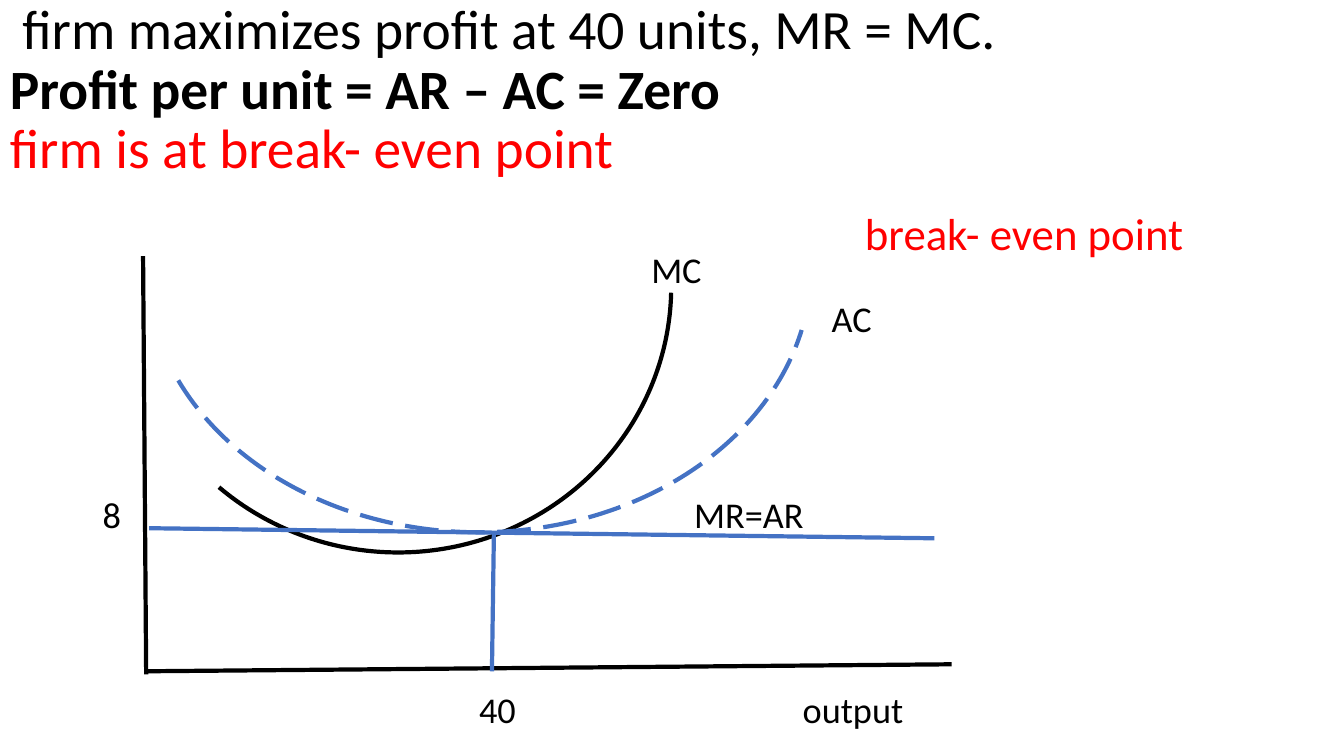
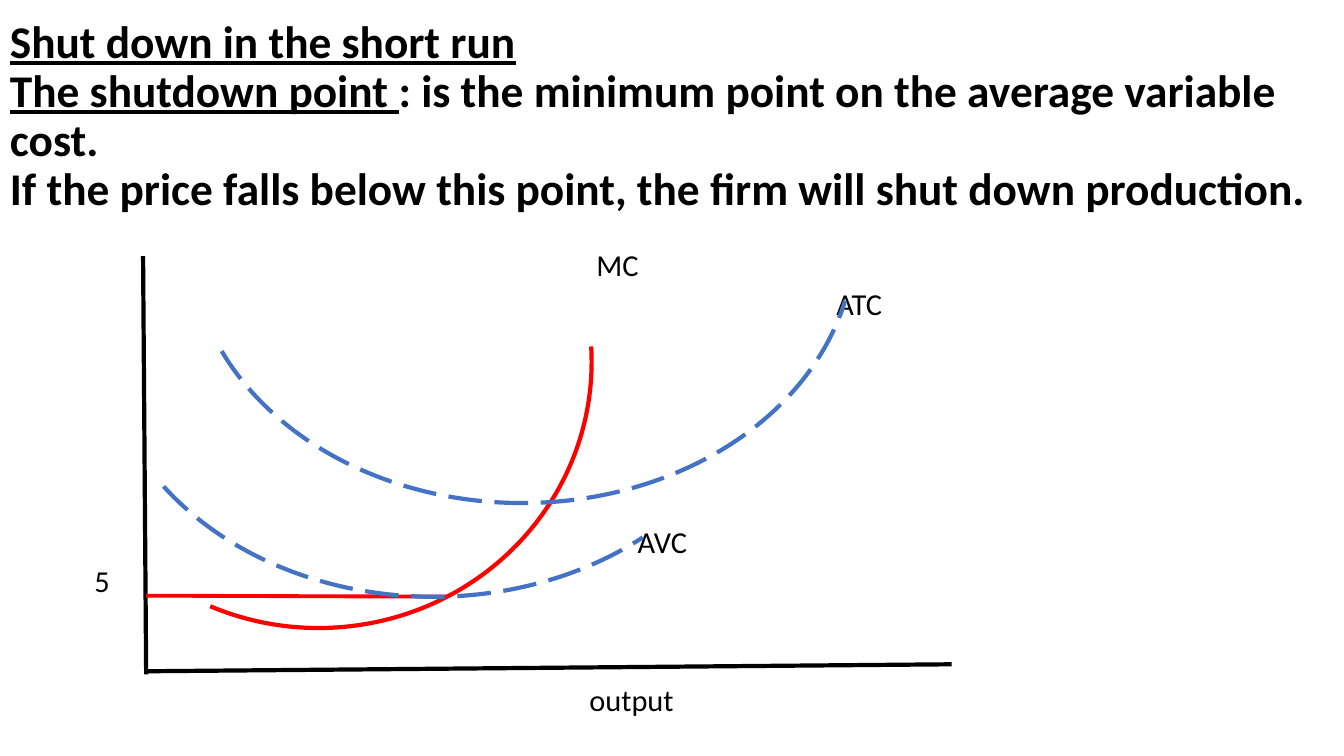
import pptx
import pptx.util
import pptx.dml.color
import pptx.enum.dml
import pptx.enum.shapes
import pptx.enum.text
import lxml.etree

Pt = pptx.util.Pt
RGBColor = pptx.dml.color.RGBColor
MIDDLE = pptx.enum.text.MSO_ANCHOR.MIDDLE
LONG_DASH = pptx.enum.dml.MSO_LINE.LONG_DASH
A_NS = "http://schemas.openxmlformats.org/drawingml/2006/main"

BLACK = RGBColor(0x00, 0x00, 0x00)
RED = RGBColor(0xFF, 0x00, 0x00)
BLUE = RGBColor(0x44, 0x72, 0xC4)
FONT = "Calibri"
SLIDE_W, SLIDE_H = 960, 540
GRAPH = (102.2, 182.9, 577.5, 298.8)
LABEL_H = 30
MC_SIZE = (390.2, 380.2)
COST_SIZE = (475.2, 380.2)


def add_run(p, text, size, color=BLACK, **formats):
    r = p.add_run()
    r.text = text
    for name, value in {"name": FONT, "size": Pt(size), **formats}.items():
        setattr(r.font, name, value)
    r.font.color.rgb = color


def add_title(s, box, size, lines):
    """Each line is a list of (text, format dict) runs."""
    tf = s.shapes.add_textbox(*map(Pt, box)).text_frame
    tf.word_wrap = True
    tf.vertical_anchor = MIDDLE
    for i, runs in enumerate(lines):
        p = tf.add_paragraph() if i else tf.paragraphs[0]
        p.line_spacing = 0.9
        for text, formats in runs:
            add_run(p, text, size, **formats)


def add_label(s, box, text, x, middle, size, color=BLACK):
    """Text starting at x and centred on the height middle, within box."""
    sp = s.shapes.add_textbox(Pt(box[0] + x), Pt(box[1] + middle - LABEL_H / 2),
                              Pt(size * 0.9 * len(text)), Pt(LABEL_H))
    tf = sp.text_frame
    tf.word_wrap = True
    tf.vertical_anchor = MIDDLE
    for side in ("left", "right", "top", "bottom"):
        setattr(tf, "margin_" + side, 0)
    add_run(tf.paragraphs[0], text, size, color)


def add_line(s, box, start, end, color=BLACK, width=3):
    x, y = box[:2]
    line = s.shapes.add_connector(
        pptx.enum.shapes.MSO_CONNECTOR.STRAIGHT,
        Pt(x + start[0]), Pt(y + start[1]), Pt(x + end[0]), Pt(y + end[1]))
    line.line.color.rgb = color
    line.line.width = Pt(width)
    lxml.etree.SubElement(line._element.spPr, "{%s}effectLst" % A_NS)


def add_curve(s, box, corner, size, angles, color, dash=None):
    """A U-shaped arc: an upside-down arc between two angles in degrees."""
    sp = s.shapes.add_shape(pptx.enum.shapes.MSO_SHAPE.ARC,
                            Pt(box[0] + corner[0]), Pt(box[1] + corner[1]),
                            *map(Pt, size))
    sp._element.spPr.xfrm.set("flipV", "1")
    for i, angle in enumerate(angles):
        sp.adjustments[i] = angle * 0.6  # 60000ths of a degree over 100000
    sp.shadow.inherit = False
    sp.fill.background()
    sp.line.color.rgb = color
    sp.line.width = Pt(3)
    sp.line.dash_style = dash


def add_graph(s, box, label_size, labels, strokes):
    """Labels, axes, then strokes: (add_line or add_curve, its values) from back to front."""
    w, h = box[2:]
    for text, x, middle in labels:
        add_label(s, box, text, x, middle, label_size)
    add_line(s, box, (0, 0), (2.2, h))
    add_line(s, box, (2.2, h - 2.2), (w, h - 7.2))
    for draw, *values in strokes:
        draw(s, box, *values)


def break_even_slide(s):
    add_title(s, (0, 10, SLIDE_W, 110), 39.6, [
        [(" firm maximizes profit at 40 units, MR = MC.", {})],
        [("Profit per unit = AR – AC = Zero", {"bold": True})],
        [("firm is at break- even point", {"color": RED})],
    ])
    add_graph(
        s, GRAPH, 25.9,
        labels=[("MC", 363, 9.6), ("AC", 491.8, 44.6), ("8", -28.8, 184.2),
                ("MR=AR", 393.6, 184.2), ("40", 240, 323.7), ("output", 471.2, 323.7)],
        strokes=[
            (add_curve, (-12.9, -168.5), MC_SIZE, (228.28, 358.65), BLACK),
            (add_curve, (2.2, -182.9), COST_SIZE, (200.81, 348.82), BLUE, LONG_DASH),
            (add_line, (565.2, 201.6), (4.4, 194.4), BLUE),
            (add_line, (250.6, 197.3), (249.2, 296.6), BLUE)])
    add_label(s, GRAPH, "break- even point", 515.6, -16.6, 32, RED)


def shutdown_slide(s):
    bold = {"bold": True}
    heading = {"bold": True, "underline": True}
    add_title(s, (0, 10, SLIDE_W, 148), 32.4, [
        [("Shut down in the short run", heading)],
        [("The shutdown point ", heading),
         (": is the minimum point on the average variable cost.", bold)],
        [("If the price falls below this point, the firm will shut down production.", bold)],
    ])
    add_graph(
        s, GRAPH, 21.7,
        labels=[("MC", 323.8, 6), ("ATC", 495.2, 33.6), ("AVC", 353.3, 203.6),
                ("5", -34.7, 231.5), ("output", 318.8, 316.6)],
        strokes=[
            (add_curve, (-69.8, -114.5), MC_SIZE, (246.11, 3.24), RED),
            (add_line, (217.5, 243.3), (2.2, 242.6), RED, 2.75),
            (add_curve, (-30.2, -136.8), COST_SIZE, (210, 315.35), BLUE, LONG_DASH),
            (add_curve, (33.2, -203.8), COST_SIZE, (200.81, 348.82), BLUE, LONG_DASH)])


def main():
    prs = pptx.Presentation()
    prs.slide_width, prs.slide_height = Pt(SLIDE_W), Pt(SLIDE_H)
    for build in (break_even_slide, shutdown_slide):
        build(prs.slides.add_slide(prs.slide_layouts[6]))
    prs.save("out.pptx")


if __name__ == "__main__":
    main()
